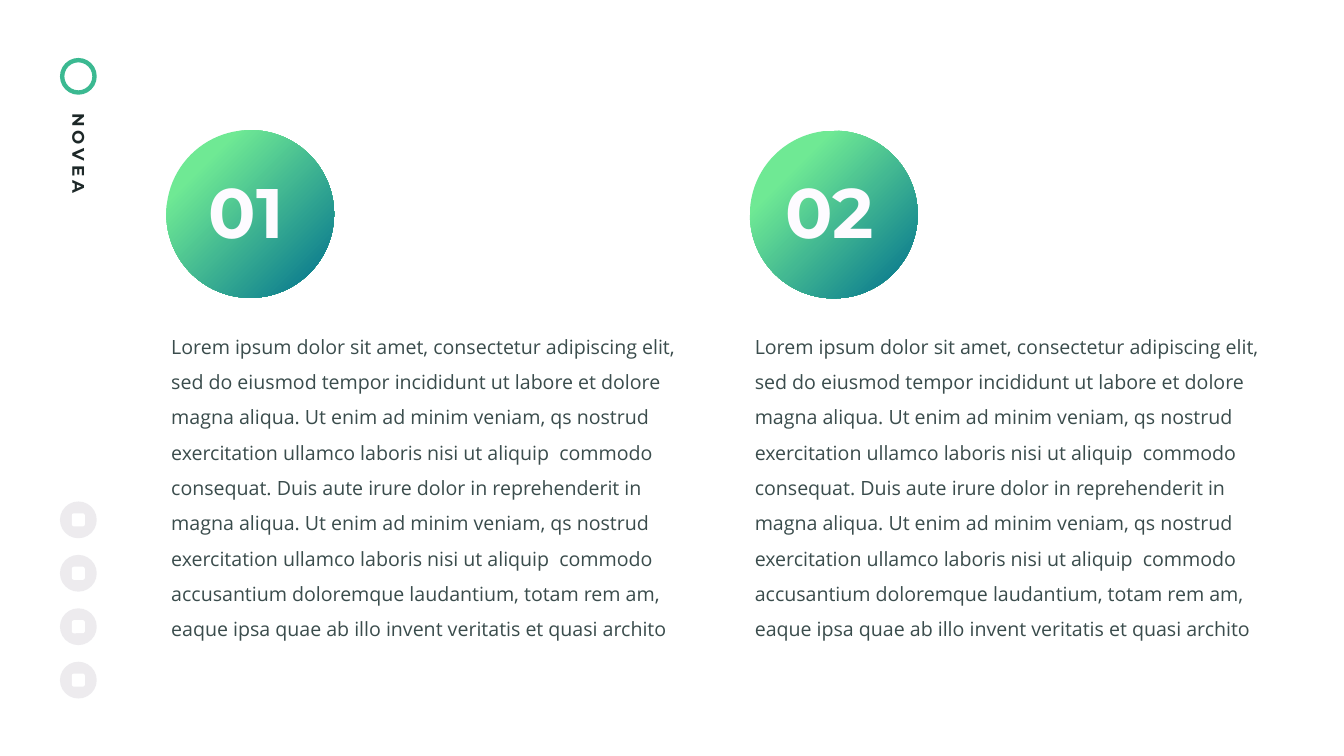
from dataclasses import dataclass
from typing import Any, Optional

import lxml.etree
import pptx
import pptx.dml.color
import pptx.enum.shapes
import pptx.enum.text
import pptx.oxml.ns
import pptx.util

Inches = pptx.util.Inches
Shapes = pptx.enum.shapes.MSO_SHAPE


@dataclass(frozen=True)
class Theme:
    heading_font: str = "Montserrat"
    body_font: str = "Open Sans"
    brand_ink: str = "1D2828"
    body_ink: str = "3A4C4C"
    number_ink: str = "FDFBFF"
    accent: str = "3BB991"
    button: str = "DEDBE1"
    button_opacity: int = 54
    symbol: str = "FFFFFF"
    gradient: tuple[str, str] = ("6FE994", "006F8E")
    brand_size: int = 24
    body_size: int = 28
    number_size: int = 100
    brand_tracking: int = 6


@dataclass(frozen=True)
class Box:
    left: float
    top: float
    width: float
    height: float

    def lengths(self) -> tuple[int, int, int, int]:
        return (Inches(self.left), Inches(self.top),
                Inches(self.width), Inches(self.height))


@dataclass(frozen=True)
class TextStyle:
    font: str
    size: int
    ink: str
    bold: bool = False
    centred: bool = False
    tracking: Optional[int] = None
    inset: float = 0.05


@dataclass(frozen=True)
class Column:
    number: str
    left: float
    disc_top: float
    number_width: float
    gradient_start: float


THEME = Theme()
BRAND = TextStyle(THEME.heading_font, THEME.brand_size, THEME.brand_ink,
                  bold=True, tracking=THEME.brand_tracking)
NUMBER = TextStyle(THEME.heading_font, THEME.number_size, THEME.number_ink,
                   bold=True, centred=True)
BODY = TextStyle(THEME.body_font, THEME.body_size, THEME.body_ink, inset=0.1)

COLUMNS = [
    Column("01", 3.3, 2.58, 1.71, 0.21),
    Column("02", 14.88, 2.59, 2.22, 0.24),
]
PARAGRAPHS = [
    "Lorem ipsum dolor sit amet, consectetur adipiscing elit, sed do eiusmod "
    "tempor incididunt ut labore et dolore magna aliqua. Ut enim ad minim "
    "veniam, qs nostrud exercitation ullamco laboris nisi ut aliquip  commodo "
    "consequat. Duis aute irure dolor in reprehenderit in",
    "magna aliqua. Ut enim ad minim veniam, qs nostrud exercitation ullamco "
    "laboris nisi ut aliquip  commodo accusantium doloremque laudantium, totam "
    "rem am, eaque ipsa quae ab illo invent veritatis et quasi archito",
]
DISC_SIZE = 3.33
NUMBER_SHIFT = -0.08
RAIL_LEFT = 1.19
BADGE_SIZE = 0.73
BUTTON_TOP = 9.95
BUTTON_STEP = 1.06
BUTTON_COUNT = 4
SYMBOL_SIZE = 0.26


def rgb(code: str) -> pptx.dml.color.RGBColor:
    return pptx.dml.color.RGBColor.from_string(code)


def add_shape(page: Any, kind: Any, box: Box, colour: Optional[str] = None) -> Any:
    shape = page.shapes.add_shape(kind, *box.lengths())
    shape.shadow.inherit = False
    shape.line.fill.background()
    if colour:
        shape.fill.solid()
        shape.fill.fore_color.rgb = rgb(colour)
    return shape


def add_text(page: Any, box: Box, paragraphs: list[str], style: TextStyle,
             spacing: Any) -> Any:
    text_box = page.shapes.add_textbox(*box.lengths())
    frame = text_box.text_frame
    frame.word_wrap = True
    frame.margin_left = frame.margin_right = Inches(style.inset)
    frame.margin_top = frame.margin_bottom = Inches(0.05)
    for index, text in enumerate(paragraphs):
        para = frame.add_paragraph() if index else frame.paragraphs[0]
        para.line_spacing = spacing
        if style.centred:
            para.alignment = pptx.enum.text.PP_ALIGN.CENTER
        span = para.add_run()
        span.text = text
        span.font.name = style.font
        span.font.size = pptx.util.Pt(style.size)
        span.font.bold = style.bold
        span.font.color.rgb = rgb(style.ink)
        if style.tracking:
            span._r.get_or_add_rPr().set("spc", str(style.tracking * 100))
    return text_box


def add_brand(page: Any) -> None:
    ring = add_shape(page, Shapes.DONUT,
                     Box(RAIL_LEFT, 1.15, BADGE_SIZE, BADGE_SIZE), THEME.accent)
    ring.adjustments[0] = 0.12
    name = add_text(page, Box(0.52, 2.99, 2.05, 0.46), ["NOVEA"], BRAND, 0.9)
    name.rotation = 90


def add_button(page: Any, top: float) -> None:
    disc = add_shape(page, Shapes.OVAL,
                     Box(RAIL_LEFT, top, BADGE_SIZE, BADGE_SIZE), THEME.button)
    colour = disc.fill._xPr.find(".//" + pptx.oxml.ns.qn("a:srgbClr"))
    lxml.etree.SubElement(colour, pptx.oxml.ns.qn("a:alpha"),
                          val=str(THEME.button_opacity * 1000))
    margin = (BADGE_SIZE - SYMBOL_SIZE) / 2
    add_shape(page, Shapes.ROUNDED_RECTANGLE,
              Box(RAIL_LEFT + margin, top + margin, SYMBOL_SIZE, SYMBOL_SIZE),
              THEME.symbol)


def add_column(page: Any, column: Column) -> None:
    add_text(page, Box(column.left, 6.36, 10.26, 6.39), PARAGRAPHS, BODY, 1.5)
    disc = add_shape(page, Shapes.OVAL,
                     Box(column.left, column.disc_top, DISC_SIZE, DISC_SIZE))
    disc.fill.gradient()
    disc.fill.gradient_angle = 315
    positions = (column.gradient_start, 0.99)
    for stop, code, position in zip(disc.fill.gradient_stops, THEME.gradient, positions):
        stop.color.rgb = rgb(code)
        stop.position = position
    number_left = column.left + (DISC_SIZE - column.number_width) / 2 + NUMBER_SHIFT
    add_text(page, Box(number_left, column.disc_top + 0.74, column.number_width, 1.76),
             [column.number], NUMBER, pptx.util.Pt(118))


def main() -> None:
    deck = pptx.Presentation()
    deck.slide_width = Inches(26.67)
    deck.slide_height = Inches(15)
    page = deck.slides.add_slide(deck.slide_layouts[6])
    add_brand(page)
    for index in range(BUTTON_COUNT):
        add_button(page, BUTTON_TOP + index * BUTTON_STEP)
    for column in COLUMNS:
        add_column(page, column)
    deck.save("out.pptx")


if __name__ == "__main__":
    main()
